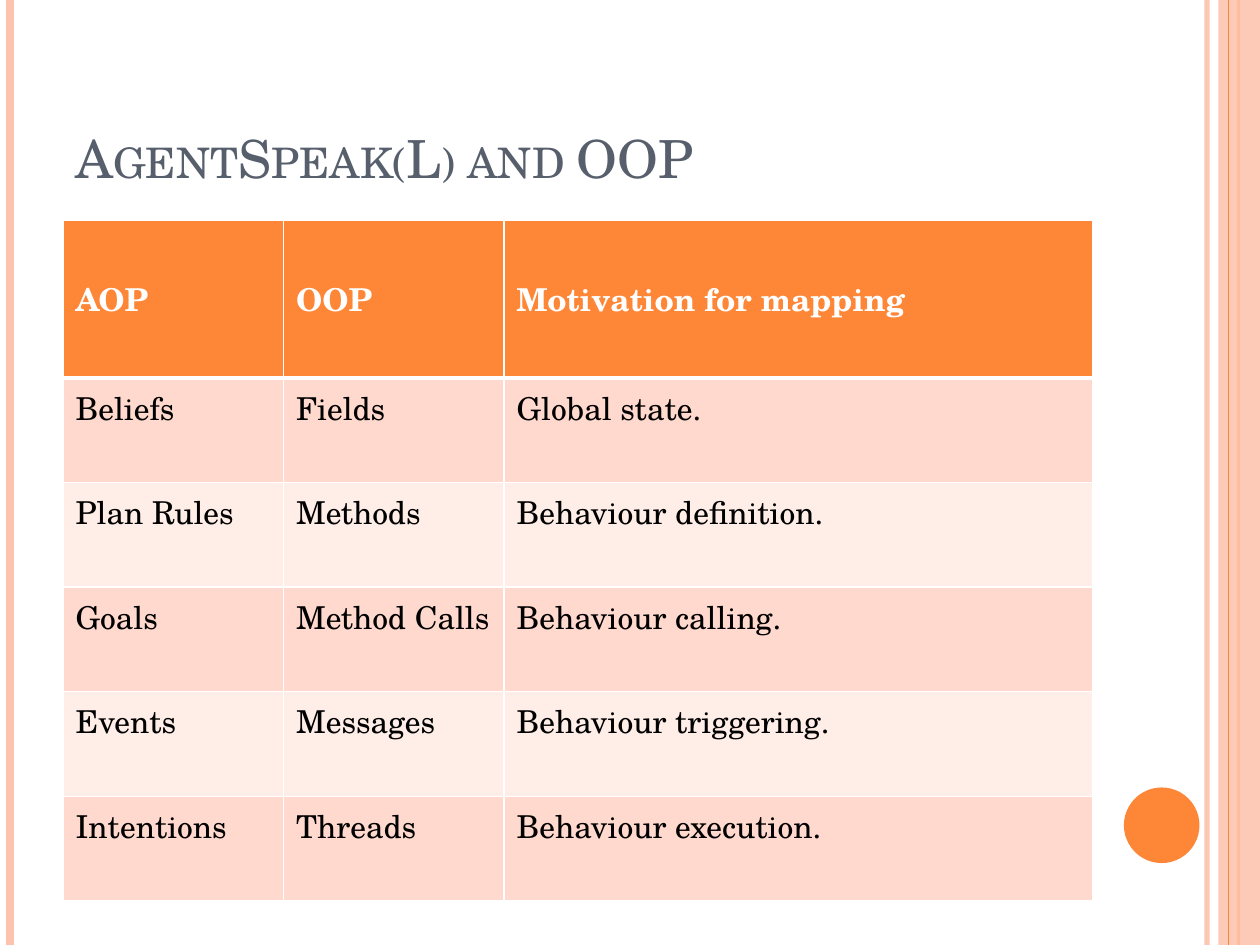
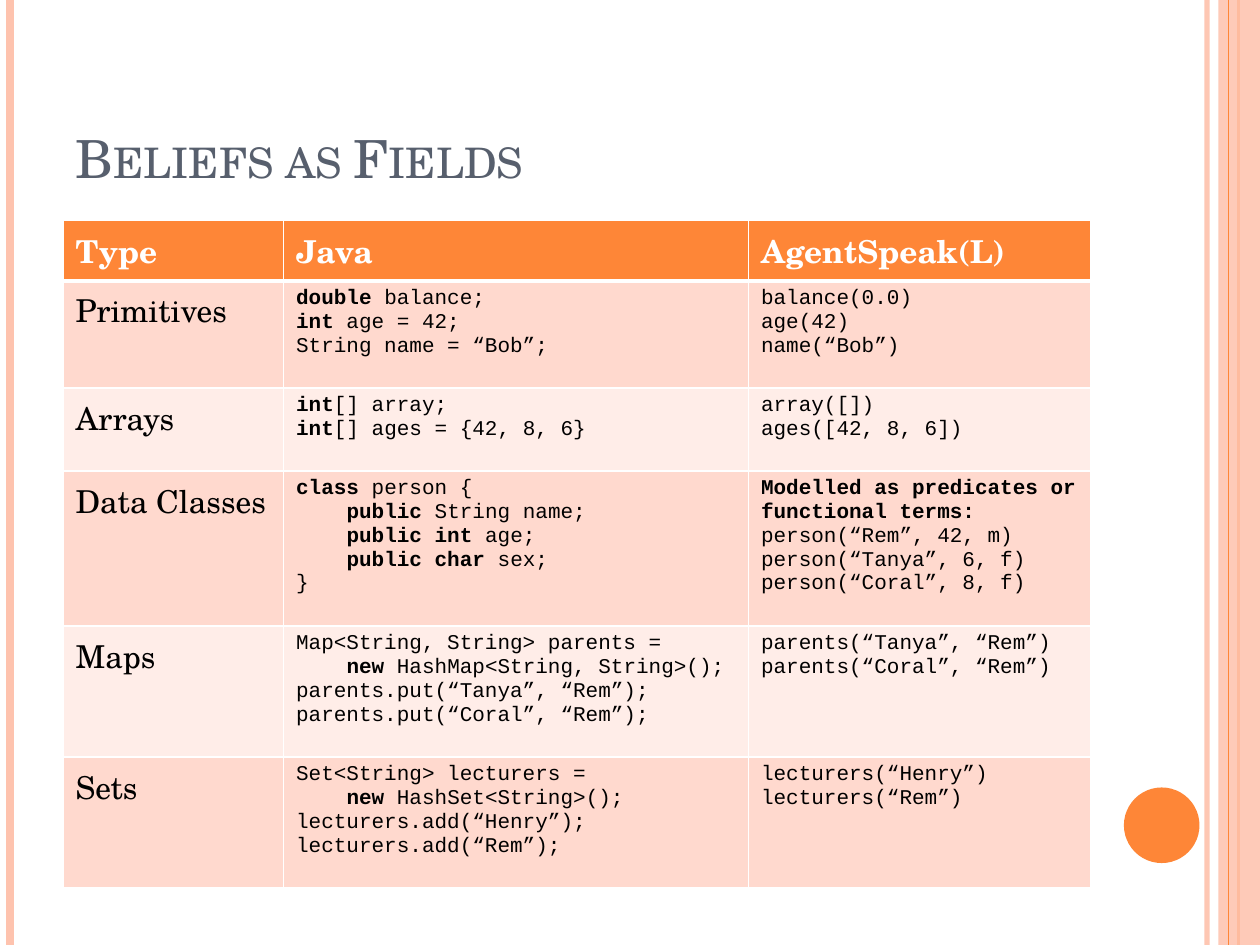
import pptx
import pptx.dml.color
import pptx.enum.shapes
import pptx.enum.text
import pptx.oxml.ns
import pptx.util
from lxml import etree

Inches = pptx.util.Inches
Pt = pptx.util.Pt
RGBColor = pptx.dml.color.RGBColor
MSO_SHAPE = pptx.enum.shapes.MSO_SHAPE
MSO_ANCHOR = pptx.enum.text.MSO_ANCHOR
qn = pptx.oxml.ns.qn

ORANGE = RGBColor(0xFE, 0x86, 0x37)
PEACH = RGBColor(0xFE, 0xC3, 0xAE)
SLATE = RGBColor(0x57, 0x5F, 0x6D)
BAND_DARK = RGBColor(0xFF, 0xD9, 0xCE)
BAND_LIGHT = RGBColor(0xFF, 0xED, 0xE8)
WHITE = RGBColor(0xFF, 0xFF, 0xFF)
BLACK = RGBColor(0, 0, 0)

SERIF = "TeX Gyre Schola"
MONO = "Courier New"
SLIDE_WIDTH, SLIDE_HEIGHT = Inches(10), Inches(7.5)
TITLE_BOX = (Inches(0.5), Inches(0.3), Inches(8.17), Inches(1.25))
TABLE_LEFT, TABLE_TOP = Inches(0.5), Inches(1.75)

MAPPING_ROWS = [
    ["AOP", "OOP", "Motivation for mapping"],
    ["Beliefs", "Fields", "Global state."],
    ["Plan Rules", "Methods", "Behaviour definition."],
    ["Goals", "Method Calls", "Behaviour calling."],
    ["Events", "Messages", "Behaviour triggering."],
    ["Intentions", "Threads", "Behaviour execution."],
]

BELIEF_ROWS = [
    ["Type", "Java", "AgentSpeak(L)"],
    ["Primitives",
     "*double* balance;\n*int* age = 42;\nString name = “Bob”;",
     "balance(0.0)\nage(42)\nname(“Bob”)"],
    ["Arrays",
     "*int*[] array;\n*int*[] ages = {42, 8, 6}",
     "array([])\nages([42, 8, 6])"],
    ["Data Classes",
     "*class* person {\n    *public* String name;\n    *public int* age;\n"
     "    *public char* sex;\n}",
     "*Modelled as predicates or functional terms:*\nperson(“Rem”, 42, m)\n"
     "person(“Tanya”, 6, f)\nperson(“Coral”, 8, f)"],
    ["Maps",
     "Map<String, String> parents =\n    *new *HashMap<String, String>();\n"
     "parents.put(“Tanya”, “Rem”);\nparents.put(“Coral”, “Rem”);",
     "parents(“Tanya”, “Rem”)\nparents(“Coral”, “Rem”)"],
    ["Sets",
     "Set<String> lecturers =\n    *new *HashSet<String>();\n"
     "lecturers.add(“Henry”);\nlecturers.add(“Rem”);",
     "lecturers(“Henry”)\nlecturers(“Rem”)"],
]


def set_opacity(shape, percent):
    """Make the explicit colour of a shape or line partly transparent."""
    color = shape.element.spPr.find(".//" + qn("a:srgbClr"))
    etree.SubElement(color, qn("a:alpha"), val=str(percent * 1000))


def add_rule(slide, left, width, color):
    """Draw a full-height vertical rule."""
    rule = slide.shapes.add_connector(
        pptx.enum.shapes.MSO_CONNECTOR.STRAIGHT, left, 0, left, SLIDE_HEIGHT)
    rule.line.color.rgb = color
    rule.line.width = width
    etree.SubElement(rule.element.spPr, qn("a:effectLst"))
    return rule


def add_plain_shape(slide, kind, box, color):
    """Add a filled shape without outline or shadow."""
    shape = slide.shapes.add_shape(kind, *box)
    shape.shadow.inherit = False
    shape.fill.solid()
    shape.fill.fore_color.rgb = color
    shape.line.fill.background()
    return shape


def add_frame(slide):
    """Draw the rules, side band and disc shared by all slides."""
    set_opacity(add_rule(slide, Inches(9.58), Pt(3), PEACH), 93)
    add_rule(slide, Inches(0.08), Pt(4.5), PEACH)
    add_rule(slide, Inches(9.83), Pt(1.5), ORANGE)
    band_box = (Inches(9.67), 0, Inches(0.33), SLIDE_HEIGHT)
    set_opacity(add_plain_shape(slide, MSO_SHAPE.RECTANGLE, band_box, PEACH), 87)
    add_rule(slide, Inches(9.75), Pt(0.75), ORANGE)
    disc_box = (Inches(8.92), Inches(6.25), Inches(0.6), Inches(0.6))
    add_plain_shape(slide, MSO_SHAPE.OVAL, disc_box, ORANGE)


def add_title(slide, box, text):
    """Add a small-caps title resting on the bottom of its box."""
    text_frame = slide.shapes.add_textbox(*box).text_frame
    text_frame.word_wrap = True
    text_frame.vertical_anchor = MSO_ANCHOR.BOTTOM
    text_frame.text = text
    run = text_frame.paragraphs[0].runs[0]
    format_font(run.font, SERIF, 30, SLATE, False)
    run.font._element.set("cap", "small")


def format_font(font, name, size, color, bold):
    """Set the face, size, colour and weight of a font."""
    font.name = name
    font.size = Pt(size)
    font.color.rgb = color
    font.bold = bold


def set_borders(cell, top, bottom):
    """Give a cell white borders with the given top and bottom widths."""
    properties = cell._tc.get_or_add_tcPr()
    widths = {"a:lnL": 1, "a:lnR": 1, "a:lnT": top, "a:lnB": bottom}
    for index, (tag, width) in enumerate(widths.items()):
        line = etree.Element(qn(tag), w=str(Pt(width)))
        fill = etree.SubElement(line, qn("a:solidFill"))
        etree.SubElement(fill, qn("a:srgbClr"), val=str(WHITE))
        properties.insert(index, line)


def fill_cell(cell, text, name, size, color, bold):
    """Write lines into a cell, with starred passages in bold."""
    for index, line in enumerate(text.split("\n")):
        text_frame = cell.text_frame
        paragraph = text_frame.add_paragraph() if index else text_frame.paragraphs[0]
        for part_index, part in enumerate(line.split("*")):
            if part:
                run = paragraph.add_run()
                run.text = part
                format_font(run.font, name, size, color, bold or part_index % 2 == 1)


def add_banded_table(slide, left, top, rows, widths, heights, code=False):
    """Add a table with an orange header and alternating bands."""
    table = slide.shapes.add_table(
        len(rows), len(widths), left, top,
        Inches(sum(widths)), Inches(sum(heights))).table
    table.horz_banding = False
    for column, width in zip(table.columns, widths):
        column.width = Inches(width)
    for row_index, texts in enumerate(rows):
        table.rows[row_index].height = Inches(heights[row_index])
        header = row_index == 0
        band = BAND_DARK if row_index % 2 else BAND_LIGHT
        for column_index, text in enumerate(texts):
            cell = table.cell(row_index, column_index)
            cell.fill.solid()
            cell.fill.fore_color.rgb = ORANGE if header else band
            cell.vertical_anchor = MSO_ANCHOR.MIDDLE if header else MSO_ANCHOR.TOP
            set_borders(cell, 3 if row_index == 1 else 1, 3 if header else 1)
            is_code = code and not header and column_index > 0
            name, size = (MONO, 12) if is_code else (SERIF, 18)
            fill_cell(cell, text, name, size, WHITE if header else BLACK, header)


def add_table_slide(presentation, title, rows, widths, heights, code=False):
    """Add a framed slide with a title above a table."""
    slide = presentation.slides.add_slide(presentation.slide_layouts[6])
    add_frame(slide)
    add_title(slide, TITLE_BOX, title)
    add_banded_table(slide, TABLE_LEFT, TABLE_TOP, rows, widths, heights, code)


def main():
    """Build and save the presentation."""
    presentation = pptx.Presentation()
    presentation.slide_width = SLIDE_WIDTH
    presentation.slide_height = SLIDE_HEIGHT
    add_table_slide(presentation, "AgentSpeak(L) and OOP", MAPPING_ROWS,
                    [1.75, 1.75, 4.67], [1.25] + [0.83] * 5)
    add_table_slide(presentation, "Beliefs as Fields", BELIEF_ROWS,
                    [1.75, 3.69, 2.72], [0.48, 0.85, 0.66, 1.23, 1.04, 1.04], code=True)
    presentation.save("out.pptx")


if __name__ == "__main__":
    main()
